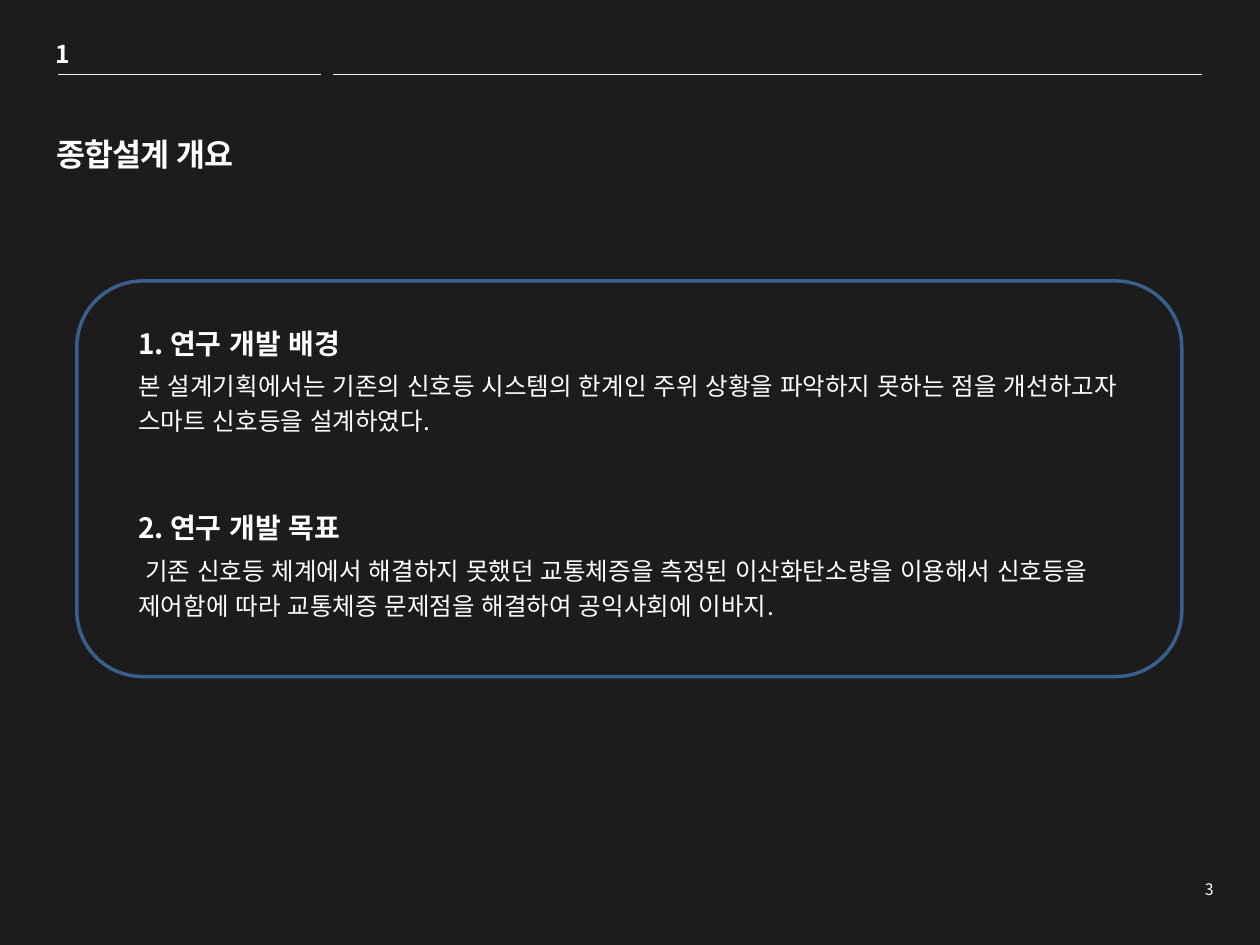
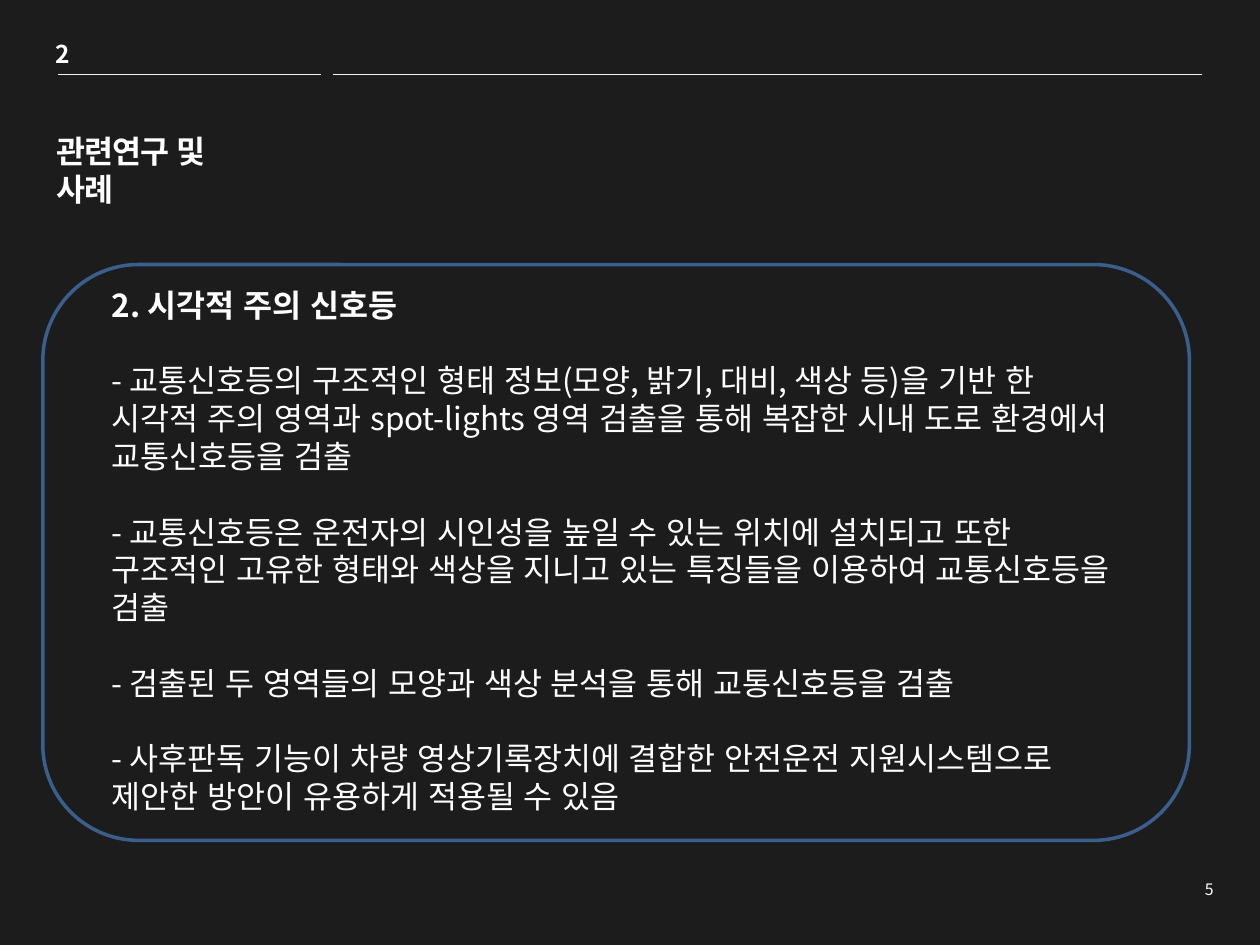
from dataclasses import dataclass

from lxml import etree
from pptx import Presentation
from pptx import util as u
from pptx.dml.color import RGBColor
from pptx.enum import lang, shapes, text
from pptx.oxml import ns

COLUMNS, ROWS = 100, 75
CELL = u.Inches(0.1)


@dataclass(frozen=True)
class Theme:
    font: str = "Noto Sans CJK KR"
    background: str = "1C1C1C"
    ink: str = "FFFFFF"
    rule: str = "F2F2F2"
    frame: str = "3A5F8C"
    title: float = 18
    heading: float = 16
    body: float = 14
    footer: float = 9
    tight: float = -0.5
    rule_width: float = 0.25
    frame_width: float = 2


@dataclass(frozen=True)
class Box:
    left: float
    top: float
    width: float
    height: float

    def inner(self, dx, dy, width, height):
        return Box(self.left + dx, self.top + dy, width, height)

    def emu(self):
        return [round(n * CELL) for n in (self.left, self.top, self.width, self.height)]


@dataclass(frozen=True)
class Para:
    words: str
    size: float
    bold: bool = False
    before: float = 0
    leading: float = 1.0
    spacing: float = 0
    align: text.PP_ALIGN = text.PP_ALIGN.LEFT


THEME = Theme()
HEADER = Box(4.6, 2.6, 90.8, 3.3)
FOOTER = Box(94.5, 69.3, 2.8, 2.5)


def add_run(paragraph, words, style):
    run = paragraph.add_run()
    run.text = words
    font = run.font
    font.size, font.bold = u.Pt(style.size), style.bold
    font.color.rgb = RGBColor.from_string(THEME.ink)
    font.name = THEME.font
    font.language_id = lang.MSO_LANGUAGE_ID.KOREAN
    properties = run._r.get_or_add_rPr()
    etree.SubElement(properties, ns.qn("a:ea"), typeface=THEME.font)
    if style.spacing:
        properties.set("spc", str(round(style.spacing * 100)))


def add_text(slide, box, paras, wrap=True):
    frame = slide.shapes.add_textbox(*box.emu()).text_frame
    frame.word_wrap = wrap
    frame.auto_size = text.MSO_AUTO_SIZE.NONE if wrap else text.MSO_AUTO_SIZE.SHAPE_TO_FIT_TEXT
    for index, para in enumerate(paras):
        paragraph = frame.add_paragraph() if index else frame.paragraphs[0]
        paragraph.alignment = para.align
        paragraph.space_before = u.Pt(para.before)
        paragraph.line_spacing = para.leading
        for number, line in enumerate(para.words.split("\n")):
            if number:
                paragraph.add_line_break()
            add_run(paragraph, line, para)


def add_header(slide, box, chapter):
    label = Para(chapter, THEME.body, bold=True, spacing=THEME.tight)
    add_text(slide, box.inner(-1.2, 0, 3.1, 3.4), [label], wrap=False)
    for start, end in ((0, 20.9), (21.8, box.width)):
        left, top, width, _ = box.inner(start, box.height, end - start, 0).emu()
        rule = slide.shapes.add_connector(
            shapes.MSO_CONNECTOR.STRAIGHT, left, top, left + width, top)
        rule.line.color.rgb = RGBColor.from_string(THEME.rule)
        rule.line.width = u.Pt(THEME.rule_width)
        etree.SubElement(rule._element.spPr, ns.qn("a:effectLst"))


def add_footer(slide, box, page):
    label = Para(page, THEME.footer, align=text.PP_ALIGN.RIGHT)
    add_text(slide, box, [label], wrap=False)


def add_panel(slide, box, content_box, paras):
    frame = slide.shapes.add_shape(shapes.MSO_SHAPE.ROUNDED_RECTANGLE, *box.emu())
    frame.shadow.inherit = False
    frame.fill.background()
    frame.line.color.rgb = RGBColor.from_string(THEME.frame)
    frame.line.width = u.Pt(THEME.frame_width)
    add_text(slide, content_box, paras)


def add_chapter_slide(deck, chapter, page, title, title_box):
    slide = deck.slides.add_slide(deck.slide_layouts[6])
    fill = slide.background.fill
    fill.solid()
    fill.fore_color.rgb = RGBColor.from_string(THEME.background)
    add_header(slide, HEADER, chapter)
    add_footer(slide, FOOTER, page)
    add_text(slide, title_box, [Para(title, THEME.title, bold=True, spacing=THEME.tight)])
    return slide


def add_overview(deck):
    slide = add_chapter_slide(deck, "1", "3", "종합설계 개요", Box(3.5, 10.2, 22, 16.1))
    topics = (
        ("1. 연구 개발 배경",
         "본 설계기획에서는 기존의 신호등 시스템의 한계인 주위 상황을 파악하지 못하는 점을 "
         "개선하고자 스마트 신호등을 설계하였다."),
        ("2. 연구 개발 목표",
         " 기존 신호등 체계에서 해결하지 못했던 교통체증을 측정된 이산화탄소량을 이용해서 "
         "신호등을 제어함에 따라 교통체증 문제점을 해결하여 공익사회에 이바지."),
    )
    paras = []
    for heading, summary in topics:
        paras.append(Para(heading, THEME.heading, bold=True, before=43 if paras else 0))
        paras.append(Para(summary, THEME.body, before=3, leading=1.2))
    panel = Box(6.1, 22.3, 87.7, 31.4)
    add_panel(slide, panel, panel.inner(3.9, 3.1, 80, 24.5), paras)


def add_related_work(deck):
    slide = add_chapter_slide(deck, "2", "5", "관련연구 및\n사례", Box(3.5, 10, 20.5, 16.1))
    findings = (
        "교통신호등의 구조적인 형태 정보(모양, 밝기, 대비, 색상 등)을 기반 한 시각적 주의 "
        "영역과 spot-lights 영역 검출을 통해 복잡한 시내 도로 환경에서 교통신호등을 검출",
        "교통신호등은 운전자의 시인성을 높일 수 있는 위치에 설치되고 또한 구조적인 고유한 "
        "형태와 색상을 지니고 있는 특징들을 이용하여 교통신호등을 검출",
        "검출된 두 영역들의 모양과 색상 분석을 통해 교통신호등을 검출",
        "사후판독 기능이 차량 영상기록장치에 결합한 안전운전 지원시스템으로 제안한 방안이 "
        "유용하게 적용될 수 있음",
    )
    paras = [Para("2. 시각적 주의 신호등", THEME.title, bold=True)]
    paras += [Para(f"- {finding}", THEME.title, before=1.2 * THEME.title)
              for finding in findings]
    panel = Box(3.4, 21, 91, 45.7)
    add_panel(slide, panel, panel.inner(4.5, 1.2, 82.1, 43.4), paras)


def main():
    deck = Presentation()
    deck.slide_width, deck.slide_height = COLUMNS * CELL, ROWS * CELL
    add_overview(deck)
    add_related_work(deck)
    deck.save("out.pptx")


if __name__ == "__main__":
    main()
